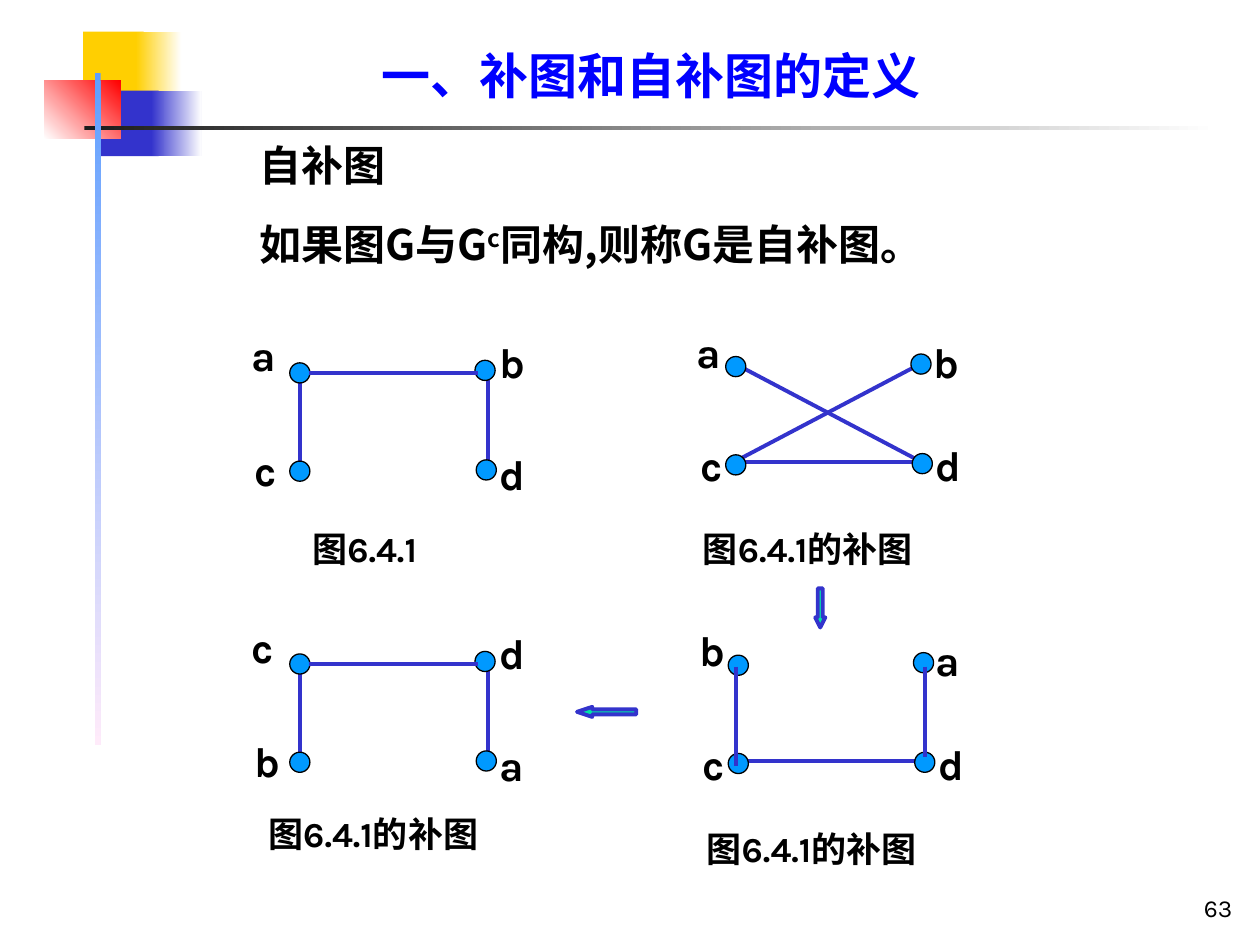
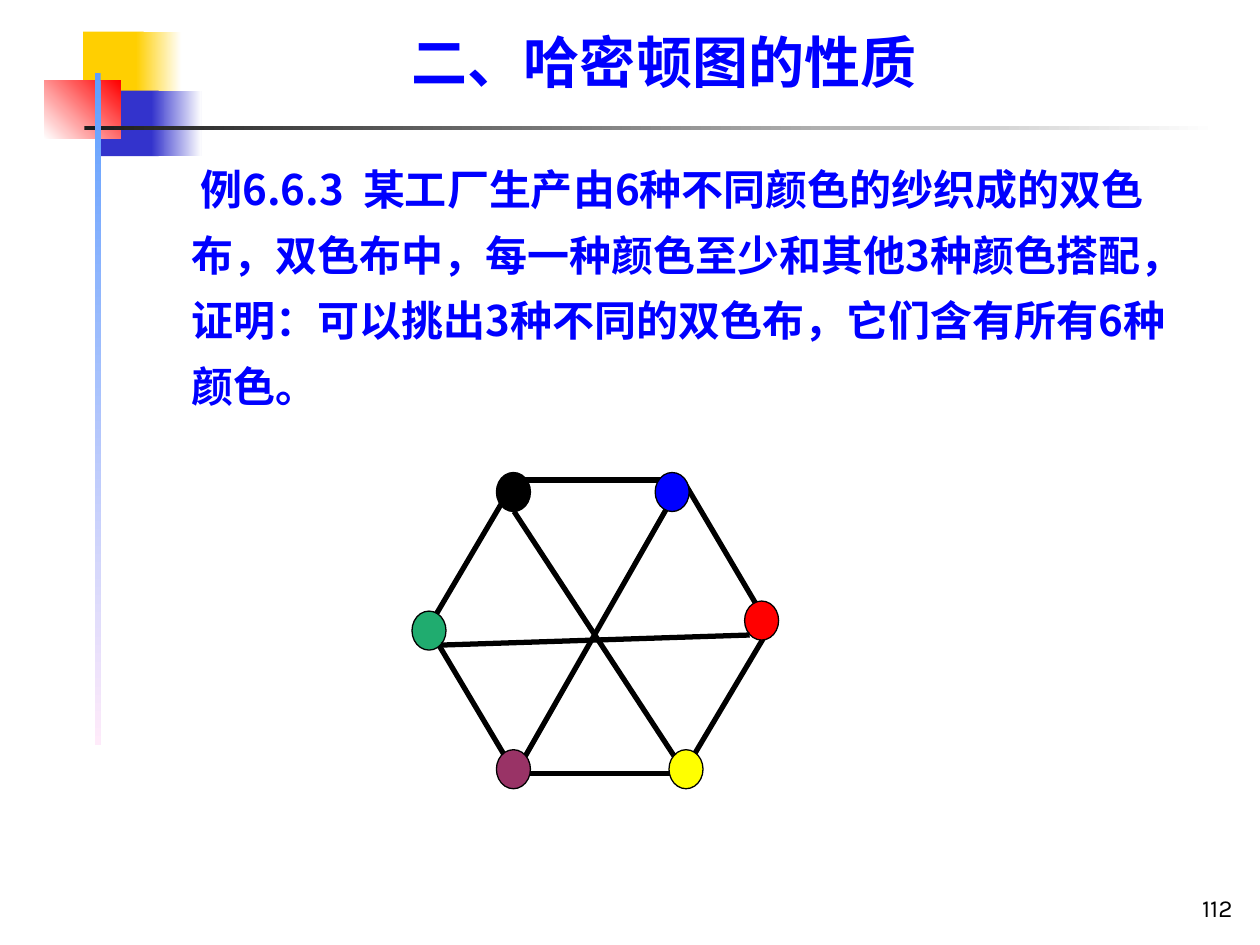
from dataclasses import dataclass

from lxml import etree
from pptx import Presentation
from pptx.dml.color import RGBColor
from pptx.enum.shapes import MSO_CONNECTOR, MSO_SHAPE
from pptx.enum.text import MSO_ANCHOR, PP_ALIGN
from pptx.oxml.ns import qn
from pptx.util import Inches, Pt

RECTANGLE, OVAL = MSO_SHAPE.RECTANGLE, MSO_SHAPE.OVAL
DOWN_ARROW, LEFT_ARROW = MSO_SHAPE.DOWN_ARROW, MSO_SHAPE.LEFT_ARROW
STRAIGHT = MSO_CONNECTOR.STRAIGHT
TOP, BOTTOM = MSO_ANCHOR.TOP, MSO_ANCHOR.BOTTOM
LEFT, RIGHT = PP_ALIGN.LEFT, PP_ALIGN.RIGHT


@dataclass(frozen=True)
class Theme:
    black: str = "000000"
    white: str = "FFFFFF"
    blue: str = "0000FF"
    indigo: str = "3333CC"
    gold: str = "FFCF01"
    red: str = "FF0000"
    node: str = "0099FF"
    arrow: str = "00E4A8"
    charcoal: str = "1C1C1C"
    sky: str = "5E9EFF"
    pink: str = "FFEBFA"
    yellow: str = "FFFF00"
    green: str = "20AC6F"
    plum: str = "993366"
    title_font: str = "Times New Roman"
    body_font: str = "Noto Sans CJK SC"
    label_font: str = "Karla"
    body_size: int = 24
    label_size: int = 24
    caption_size: int = 20
    number_size: int = 14
    thin: float = 0.75
    edge: float = 2.25
    heavy: float = 3


THEME = Theme()

# Offsets below are measured from the top left node of a four-node graph
NODE_SIZE = 0.16
NODES = [(0, 0), (1.47, -0.02), (0, 0.78), (1.48, 0.77)]
WIDE_LABELS = [(-0.4, -0.31), (1.57, -0.26), (-0.38, 0.6), (1.57, 0.63)]
CLOSE_LABELS = [(-0.33, -0.29), (1.55, -0.21), (-0.3, 0.61), (1.57, 0.61)]
ARCH_SIDES = [(0.08, 0.08, 0.08, 0.79), (1.57, 0.08, 1.57, 0.87)]
ARCH_TOP = [(0.15, 0.08, 1.49, 0.08)]
CUP_BASE = [(0.14, 0.84, 1.48, 0.84)]
CUP_SIDES = [(0.06, 0.09, 0.06, 0.88), (1.56, 0.09, 1.56, 0.81)]
CROSS = [(0.06, 0.84, 1.56, 0.05), (0.06, 0.05, 1.56, 0.84)]


def color(value):
    return RGBColor.from_string(value)


def add_text(page, text, left, top, width, height, *, size, font=THEME.body_font,
             fill=THEME.black, bold=True, align=LEFT, anchor=TOP, inset=0.0,
             wrap=True, line_spacing=None, hanging=0.0, first=0.0):
    """Text is a string or a list of (string, run attributes) spans."""
    box = page.shapes.add_textbox(*map(Inches, (left, top, width, height)))
    frame = box.text_frame
    frame.word_wrap = wrap
    frame.vertical_anchor = anchor
    frame.margin_left = frame.margin_right = Inches(inset)
    frame.margin_top = frame.margin_bottom = Inches(inset / 2)
    para = frame.paragraphs[0]
    para.alignment = align
    if line_spacing:
        para.line_spacing = line_spacing
    if hanging:
        properties = para._p.get_or_add_pPr()
        properties.set("marL", str(Inches(hanging)))
        properties.set("indent", str(Inches(first - hanging)))
    spans = [(text, {})] if isinstance(text, str) else text
    for words, attributes in spans:
        span = para.add_run()
        span.text = words
        span.font.name = font
        span.font.size = Pt(size)
        span.font.bold = bold
        span.font.color.rgb = color(fill)
        properties = span._r.get_or_add_rPr()
        etree.SubElement(properties, qn("a:ea")).set("typeface", THEME.body_font)
        for name, value in attributes.items():
            properties.set(name, value)


def add_shape(page, kind, left, top, width, height, fill,
              outline=None, weight=THEME.thin):
    shape = page.shapes.add_shape(kind, *map(Inches, (left, top, width, height)))
    shape.shadow.inherit = False
    shape.fill.solid()
    shape.fill.fore_color.rgb = color(fill)
    if outline:
        shape.line.color.rgb = color(outline)
        shape.line.width = Pt(weight)
    else:
        shape.line.fill.background()
    return shape


def add_gradient(page, left, top, width, height, start, end, angle=0):
    shape = add_shape(page, RECTANGLE, left, top, width, height, start)
    shape.fill.gradient()
    shape.fill.gradient_angle = angle
    for stop, value, position in zip(shape.fill.gradient_stops, (start, end), (0, 1)):
        stop.color.rgb = color(value)
        stop.position = position


def add_edge(page, x1, y1, x2, y2, fill=THEME.indigo, weight=THEME.edge):
    edge = page.shapes.add_connector(STRAIGHT, *map(Inches, (x1, y1, x2, y2)))
    edge.line.color.rgb = color(fill)
    edge.line.width = Pt(weight)
    etree.SubElement(edge._element.spPr, qn("a:effectLst"))


def add_arrow(page, kind, left, top, width, height, head):
    arrow = add_shape(page, kind, left, top, width, height,
                      THEME.arrow, THEME.indigo, THEME.edge)
    arrow.adjustments[0] = 0.5
    arrow.adjustments[1] = head


def add_graph(page, left, top, names, labels, under, over=()):
    """Draw four nodes with edges below and above them, then their letters."""
    def draw_edges(edges):
        for x1, y1, x2, y2 in edges:
            add_edge(page, left + x1, top + y1, left + x2, top + y2)

    draw_edges(under)
    for x, y in NODES:
        add_shape(page, OVAL, left + x, top + y, NODE_SIZE, NODE_SIZE,
                  THEME.node, THEME.black)
    draw_edges(over)
    for name, (x, y) in zip(names, labels):
        add_text(page, name, left + x, top + y, 0.4, 0.5, size=THEME.label_size,
                 font=THEME.label_font, inset=0.1, wrap=False)


def add_caption(page, text, left, top, width=2.08):
    add_text(page, text, left, top, width, 0.44, size=THEME.caption_size,
             font=THEME.label_font, inset=0.1, wrap=False)


def add_title(page, text, left, top, width, height, size):
    add_text(page, text, left, top, width, height, size=size, font=THEME.title_font,
             fill=THEME.blue, line_spacing=0.9, hanging=0.38)


def add_page(deck, number):
    """Start a page with the corner blocks, the two rules and its number."""
    page = deck.slides.add_slide(deck.slide_layouts[6])
    add_shape(page, RECTANGLE, 0.66, 0.25, 0.48, 0.52, THEME.gold)
    add_gradient(page, 1.08, 0.25, 0.36, 0.52, THEME.gold, THEME.white)
    add_shape(page, RECTANGLE, 0.8, 0.72, 0.46, 0.52, THEME.indigo)
    add_gradient(page, 1.2, 0.72, 0.4, 0.52, THEME.indigo, THEME.white)
    add_gradient(page, 0.35, 0.64, 0.61, 0.46, THEME.white, THEME.red, 45)
    add_gradient(page, 0.67, 1, 9, 0.03, THEME.charcoal, THEME.white)
    add_gradient(page, 0.75, 0.58, 0.05, 5.33, THEME.sky, THEME.pink, 270)
    add_text(page, number, 7.8, 6.87, 2.08, 0.5, size=THEME.number_size,
             font=THEME.label_font, bold=False, align=RIGHT, anchor=BOTTOM, inset=0.1)
    return page


def build_complement_page(deck):
    page = add_page(deck, "63")
    add_title(page, "一、补图和自补图的定义", 3.03, 0.41, 4.49, 0.42, 28)

    # Definition
    body = dict(size=THEME.body_size, line_spacing=0.9, hanging=0.38)
    add_text(page, "自补图", 2.06, 1.15, 1.73, 0.36, **body)
    add_text(page, [("如果图G与G", {}), ("c", {"baseline": "30000"}),
                    ("同构,则称G是自补图。", {})], 2.06, 1.78, 5.27, 0.72, **body)

    # Graph, its complement and the two redrawn forms
    add_graph(page, 2.3, 2.88, "abcd", WIDE_LABELS, ARCH_SIDES, ARCH_TOP)
    add_graph(page, 5.76, 2.83, "abcd", CLOSE_LABELS, CUP_BASE + CROSS)
    add_graph(page, 5.78, 5.2, "bacd", CLOSE_LABELS, CUP_BASE, CUP_SIDES)
    add_graph(page, 2.3, 5.19, "cdba", WIDE_LABELS, ARCH_SIDES, ARCH_TOP)
    add_caption(page, "图6.4.1", 2.38, 4.14, 1.18)
    for left, top in [(5.48, 4.14), (5.51, 6.52), (2.03, 6.4)]:
        add_caption(page, "图6.4.1的补图", left, top)

    # Order of the redrawing
    add_arrow(page, DOWN_ARROW, 6.47, 4.67, 0.08, 0.31, 1)
    add_arrow(page, LEFT_ARROW, 4.58, 5.61, 0.47, 0.08, 1.51)


def build_hamilton_page(deck):
    page = add_page(deck, "112")
    add_title(page, "二、哈密顿图的性质", 3.27, 0.28, 4.37, 0.48, 32)

    # Example
    add_text(page, [("例6.6.3", {}), (" ", {"spc": "540"}),
                    ("某工厂生产由6种不同颜色的纱织成的双色布，双色布中，"
                     "每一种颜色至少和其他3种颜色搭配，证明：可以挑出3种不同的"
                     "双色布，它们含有所有6种颜色。", {})],
             1.14, 1.18, 8.11, 2.08, size=THEME.body_size, fill=THEME.blue,
             line_spacing=1.3, hanging=0.38, first=0.45)

    # Hexagon sides and one diagonal, below the nodes
    corners = [(4.09, 3.81), (5.42, 3.81), (6.11, 4.98),
               (5.42, 6.14), (4.09, 6.14), (3.4, 4.98)]
    sides = list(zip(corners, corners[1:] + corners[:1]))
    for start, end in sides + [(corners[1], corners[4])]:
        add_edge(page, *start, *end, THEME.black, THEME.heavy)

    # Colour nodes
    for left, top, fill in [(3.94, 3.75, THEME.black), (5.2, 3.75, THEME.blue),
                            (5.91, 4.77, THEME.red), (5.31, 5.95, THEME.yellow),
                            (3.94, 5.95, THEME.plum), (3.27, 4.85, THEME.green)]:
        add_shape(page, OVAL, left, top, 0.27, 0.31, fill, THEME.black)

    # Remaining diagonals, above the nodes
    for ends in [(4.08, 4.06, 5.35, 6), (3.5, 5.12, 5.95, 5.04)]:
        add_edge(page, *ends, THEME.black, THEME.heavy)


def main():
    deck = Presentation()
    deck.slide_width, deck.slide_height = Inches(10), Inches(7.5)
    build_complement_page(deck)
    build_hamilton_page(deck)
    deck.save("out.pptx")


if __name__ == "__main__":
    main()
